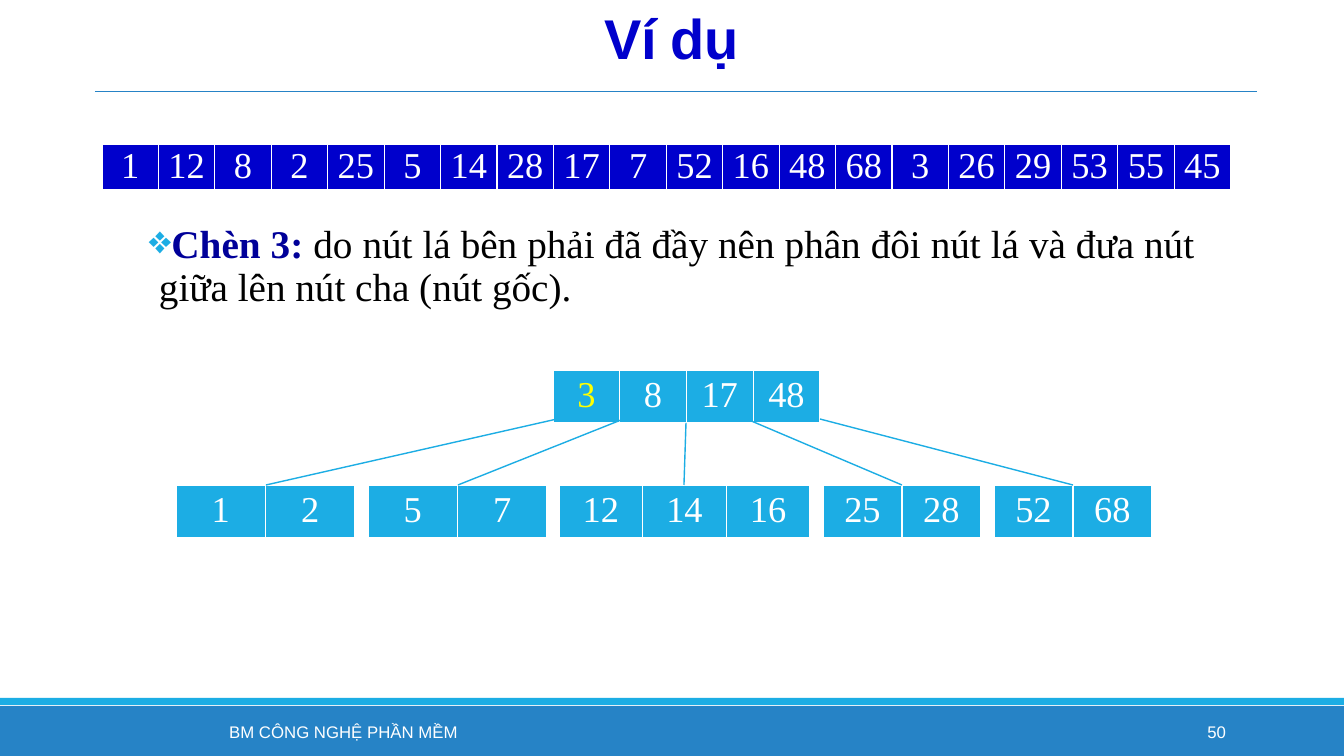
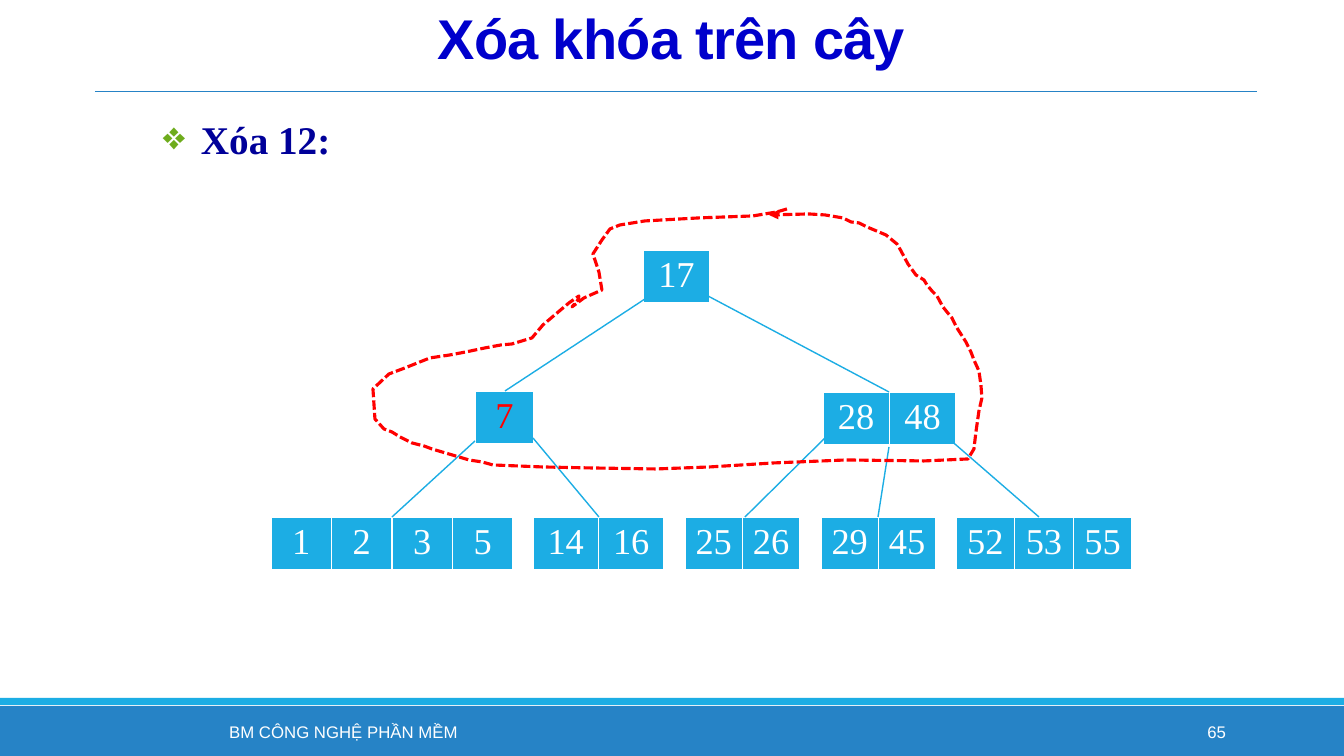
from dataclasses import dataclass

from lxml import etree
from pptx import Presentation
from pptx.dml.color import RGBColor
from pptx.enum.dml import MSO_LINE
from pptx.enum.shapes import MSO_CONNECTOR, MSO_SHAPE
from pptx.enum.text import MSO_ANCHOR, PP_ALIGN
from pptx.oxml.ns import qn
from pptx.shapes.autoshape import Shape
from pptx.slide import Slide
from pptx.table import _Cell
from pptx.text.text import _Paragraph
from pptx.util import Emu, Pt

RECTANGLE = MSO_SHAPE.RECTANGLE
STRAIGHT = MSO_CONNECTOR.STRAIGHT
DASHED = MSO_LINE.SQUARE_DOT
TOP, MIDDLE = MSO_ANCHOR.TOP, MSO_ANCHOR.MIDDLE
LEFT, CENTER, RIGHT, JUSTIFY = PP_ALIGN.LEFT, PP_ALIGN.CENTER, PP_ALIGN.RIGHT, PP_ALIGN.JUSTIFY

WIDTH, HEIGHT = 1344, 756
EMU_PER_PX = 12192000 / WIDTH
SANS, SERIF = "Arial", "Times New Roman"
WHITE, BLACK, RED, YELLOW = "FFFFFF", "000000", "FF0000", "FFFF00"
CYAN, BLUE, GREEN = "1CADE4", "2683C6", "6EAC1C"
TITLE_BLUE, NAVY = "0000CC", "000099"
FOOTER = "BM CÔNG NGHỆ PHẦN MỀM"
NODE_HEIGHT = 53

Edge = tuple[int, int, int, int]
Point = tuple[int, int]


@dataclass(frozen=True)
class Node:
    """A row of keys; the first one may have its own colour."""
    left: int
    top: int
    width: int
    keys: list[int]
    first_color: str = WHITE


@dataclass(frozen=True)
class TextRun:
    text: str
    color: str
    bold: bool = False


@dataclass(frozen=True)
class Bullet:
    color: str
    indent: int


SEQUENCE = [1, 12, 8, 2, 25, 5, 14, 28, 17, 7, 52, 16, 48, 68, 3, 26, 29, 53, 55, 45]

INSERT_NODES = [
    Node(553, 370, 267, [3, 8, 17, 48], YELLOW),
    Node(176, 485, 179, [1, 2]),
    Node(368, 485, 179, [5, 7]),
    Node(559, 485, 251, [12, 14, 16]),
    Node(823, 485, 158, [25, 28]),
    Node(994, 485, 158, [52, 68]),
]
INSERT_EDGES: list[Edge] = [
    (557, 419, 266, 485), (621, 420, 458, 485), (686, 423, 684, 485),
    (749, 420, 902, 485), (820, 419, 1073, 485),
]

DELETE_NODES = [
    Node(643, 250, 67, [17]),
    Node(475, 391, 59, [7], RED),
    Node(823, 392, 133, [28, 48]),
    Node(271, 517, 242, [1, 2, 3, 5]),
    Node(533, 517, 131, [14, 16]),
    Node(685, 517, 115, [25, 26]),
    Node(821, 517, 115, [29, 45]),
    Node(956, 517, 176, [52, 53, 55]),
]
DELETE_EDGES: list[Edge] = [
    (648, 297, 505, 391), (708, 296, 889, 392),
    (475, 441, 392, 517), (533, 438, 599, 517),
    (825, 438, 745, 517), (889, 447, 878, 517), (948, 438, 1039, 517),
]
# Hand-drawn loop around the upper levels, counter-clockwise
LOOP: list[Point] = [
    (787, 209), (777, 212), (753, 216), (699, 218), (645, 221), (620, 225), (610, 229),
    (602, 240), (593, 254), (599, 272), (602, 290), (584, 298), (572, 307), (578, 300),
    (579, 296), (569, 303), (543, 325), (532, 338), (512, 344), (501, 345), (485, 348),
    (466, 352), (450, 355), (430, 358), (405, 368), (389, 374), (373, 389), (374, 404),
    (375, 419), (384, 429), (392, 432), (400, 437), (412, 443), (424, 446), (432, 449),
    (459, 457), (469, 460), (482, 462), (493, 465), (542, 467), (590, 468), (656, 469),
    (710, 467), (774, 463), (846, 460), (924, 461), (946, 460), (968, 459), (974, 449),
    (976, 432), (979, 411), (982, 398), (981, 385), (979, 371), (974, 360), (971, 352),
    (966, 342), (957, 328), (952, 318), (947, 312), (943, 307), (937, 296), (932, 291),
    (927, 285), (924, 280), (916, 275), (908, 264), (900, 249), (897, 244), (886, 235),
    (867, 227), (859, 223), (851, 222), (843, 218), (825, 215), (809, 214), (769, 215),
]


def px(length: float) -> Emu:
    return Emu(round(length * EMU_PER_PX))


def rgb(color: str) -> RGBColor:
    return RGBColor.from_string(color)


def style_font(paragraph: _Paragraph, name: str, size: int) -> None:
    paragraph.font.name = name
    paragraph.font.size = Pt(size)


def add_bullet(paragraph: _Paragraph, bullet: Bullet) -> None:
    properties = paragraph._p.get_or_add_pPr()
    properties.set("marL", str(px(bullet.indent)))
    properties.set("indent", str(-px(bullet.indent)))
    color = etree.SubElement(properties, qn("a:buClr"))
    etree.SubElement(color, qn("a:srgbClr"), val=bullet.color)
    etree.SubElement(properties, qn("a:buChar"), char="❖")


def add_text(slide: Slide, box: tuple[int, int, int, int], runs: list[TextRun],
             font: str, size: int, align: PP_ALIGN, anchor: MSO_ANCHOR = MIDDLE,
             line_spacing: float = 1.0, bullet: Bullet | None = None,
             side_inset: int = 10) -> _Paragraph:
    frame = slide.shapes.add_textbox(*map(px, box)).text_frame
    frame.word_wrap = True
    frame.vertical_anchor = anchor
    frame.margin_left = frame.margin_right = px(side_inset)
    paragraph = frame.paragraphs[0]
    if bullet:
        add_bullet(paragraph, bullet)
    paragraph.alignment = align
    paragraph.line_spacing = line_spacing
    style_font(paragraph, font, size)
    for item in runs:
        run = paragraph.add_run()
        run.text = item.text
        run.font.bold = item.bold
        run.font.color.rgb = rgb(item.color)
    return paragraph


def add_band(slide: Slide, top: int, height: int, color: str) -> None:
    band = slide.shapes.add_shape(RECTANGLE, 0, px(top), px(WIDTH), px(height))
    band.shadow.inherit = False
    band.fill.solid()
    band.fill.fore_color.rgb = rgb(color)
    band.line.fill.background()


def add_line(slide: Slide, ends: Edge, color: str, width: float) -> None:
    line = slide.shapes.add_connector(STRAIGHT, *map(px, ends))
    line.line.color.rgb = rgb(color)
    line.line.width = Pt(width)
    etree.SubElement(line._element.spPr, qn("a:effectLst"))


def set_borders(cell: _Cell) -> None:
    properties = cell._tc.get_or_add_tcPr()
    for side, width in (("L", 1), ("R", 1), ("T", 1), ("B", 3)):
        border = etree.SubElement(properties, qn(f"a:ln{side}"), w=str(Pt(width)))
        fill = etree.SubElement(border, qn("a:solidFill"))
        etree.SubElement(fill, qn("a:srgbClr"), val=WHITE)


def add_node(slide: Slide, node: Node, fill: str = CYAN, height: int = NODE_HEIGHT,
             insets: tuple[int, int] = (10, 5), anchor: MSO_ANCHOR = TOP,
             line_spacing: float = 1.0) -> None:
    count = len(node.keys)
    table = slide.shapes.add_table(1, count, px(node.left), px(node.top),
                                   px(node.width), px(height)).table
    table.first_row = table.horz_banding = False
    for index, key in enumerate(node.keys):
        table.columns[index].width = px(node.width / count)
        cell = table.cell(0, index)
        set_borders(cell)
        cell.fill.solid()
        cell.fill.fore_color.rgb = rgb(fill)
        cell.margin_left = cell.margin_right = px(insets[0])
        cell.margin_top = cell.margin_bottom = px(insets[1])
        cell.vertical_anchor = anchor
        paragraph = cell.text_frame.paragraphs[0]
        paragraph.text = str(key)
        paragraph.alignment = CENTER
        paragraph.line_spacing = line_spacing
        style_font(paragraph, SERIF, 26)
        paragraph.font.color.rgb = rgb(WHITE if index else node.first_color)


def add_tree(slide: Slide, nodes: list[Node], edges: list[Edge]) -> None:
    for node in nodes:
        add_node(slide, node)
    for edge in edges:
        add_line(slide, edge, CYAN, 1)


def add_loop(slide: Slide, points: list[Point]) -> Shape:
    builder = slide.shapes.build_freeform(*points[0], scale=EMU_PER_PX)
    builder.add_line_segments(points[1:], close=False)
    loop = builder.convert_to_shape()
    loop.shadow.inherit = False
    loop.fill.background()
    loop.line.color.rgb = rgb(RED)
    loop.line.width = Pt(2.25)
    loop.line.dash_style = DASHED
    etree.SubElement(loop._element.spPr.find(qn("a:ln")), qn("a:tailEnd"), type="triangle")
    return loop


def add_slide(presentation: Presentation, title: str, number: int) -> Slide:
    """Start a slide with the bands, title, rule and footer."""
    slide = presentation.slides.add_slide(presentation.slide_layouts[6])
    add_band(slide, 706, 50, BLUE)
    add_band(slide, 698, 7, CYAN)
    add_line(slide, (95, 91, 1257, 91), BLUE, 0.5)
    heading = add_text(slide, (85, 4, 1173, 77), [TextRun(title, TITLE_BLUE, True)],
                       SANS, 40, CENTER, line_spacing=0.85)
    heading.runs[0]._r.get_or_add_rPr().set("spc", "-50")
    add_text(slide, (121, 712, 445, 40), [TextRun(FOOTER, WHITE)], SANS, 12, CENTER)
    add_text(slide, (1092, 712, 144, 40), [TextRun(str(number), WHITE)], SANS, 12, RIGHT)
    return slide


def build_insert_slide(presentation: Presentation) -> None:
    slide = add_slide(presentation, "Ví dụ", 50)
    # Explanation
    add_text(slide, (149, 220, 1046, 96), [
        TextRun("Chèn 3: ", NAVY, True),
        TextRun("do nút lá bên phải đã đầy nên phân đôi nút lá và đưa nút giữa "
                "lên nút cha (nút gốc).", BLACK),
    ], SERIF, 28, JUSTIFY, TOP, 0.9, Bullet(CYAN, 10), side_inset=0)
    # Tree after the insertion
    add_tree(slide, INSERT_NODES, INSERT_EDGES)
    # Input sequence
    add_node(slide, Node(102, 144, 1129, SEQUENCE), TITLE_BLUE, 47, (6, 0), MIDDLE, 0.9)


def build_delete_slide(presentation: Presentation) -> None:
    slide = add_slide(presentation, "Xóa khóa trên cây", 65)
    # Tree after the deletion
    add_tree(slide, DELETE_NODES, DELETE_EDGES)
    add_loop(slide, LOOP)
    # Step name
    add_text(slide, (153, 116, 1046, 53), [TextRun("Xóa 12:", NAVY, True)],
             SERIF, 28, JUSTIFY, TOP, 0.9, Bullet(GREEN, 38))


def main() -> None:
    presentation = Presentation()
    presentation.slide_width, presentation.slide_height = px(WIDTH), px(HEIGHT)
    build_insert_slide(presentation)
    build_delete_slide(presentation)
    presentation.save("out.pptx")


if __name__ == "__main__":
    main()
